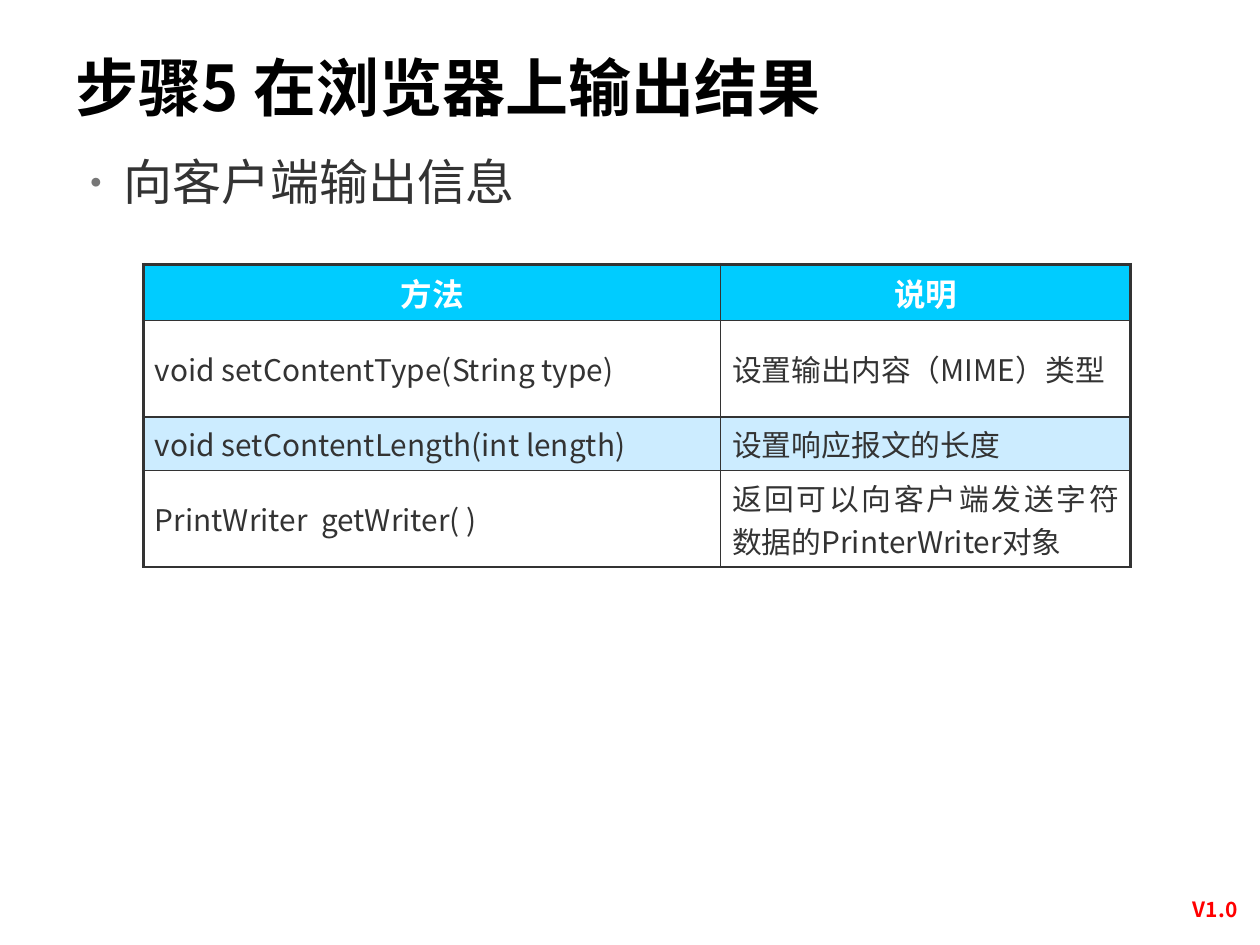
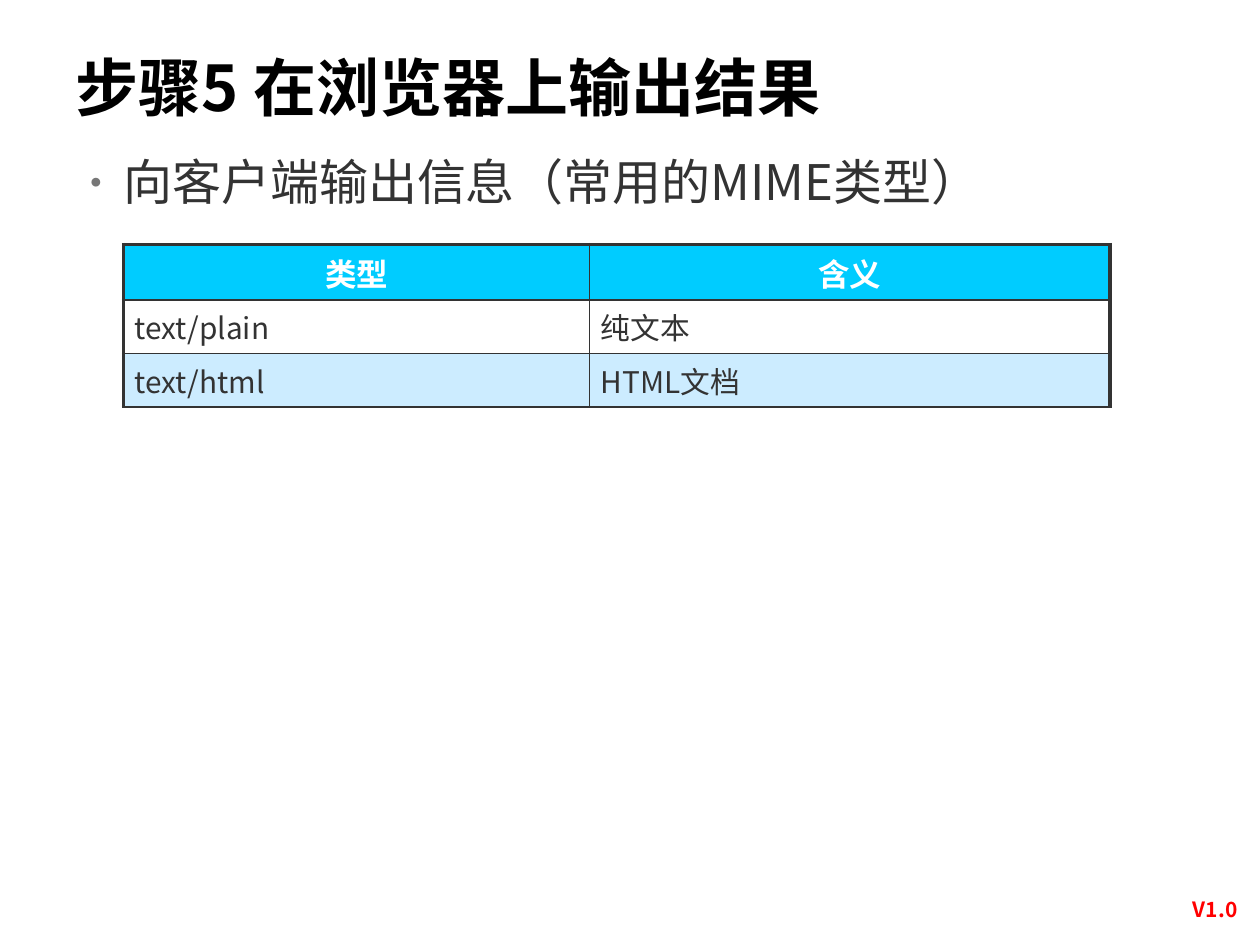
from dataclasses import dataclass

import pptx
import pptx.dml.color
import pptx.enum.text
import pptx.oxml
import pptx.oxml.ns
import pptx.util
from lxml import etree
from pptx.util import Inches

FONT = "Noto Sans CJK SC"
INK, WHITE, HEADER, BAND = "333333", "FFFFFF", "00CCFF", "CCECFF"
ALIGN = pptx.enum.text.PP_ALIGN
ANCHOR = pptx.enum.text.MSO_ANCHOR
AUTO = pptx.enum.text.MSO_AUTO_SIZE
THICK, THIN = 2.25, 1
HEAD_HEIGHT, LINE_HEIGHT, TWO_LINE_HEIGHT = 0.39, 0.37, 0.66


@dataclass(frozen=True)
class TextStyle:
    size: float
    color: str
    bold: bool = False
    align: ALIGN = ALIGN.LEFT


TITLE = TextStyle(36, "000000", True)
BODY = TextStyle(28, INK)
VERSION = TextStyle(12, "FF0000", True, ALIGN.CENTER)
HEAD_CELL = TextStyle(18, WHITE, True, ALIGN.CENTER)
LEFT_CELL = TextStyle(17, INK)
JUSTIFIED_CELL = TextStyle(17, INK, align=ALIGN.JUSTIFY)


@dataclass(frozen=True)
class TableSlide:
    title: str
    point: str
    left: float
    top: float
    widths: tuple[float, ...]
    heights: tuple[float, ...]
    rows: tuple[tuple[str, ...], ...]


STEP = "步骤5 在浏览器上输出结果"
SLIDES = (
    TableSlide(
        STEP, "向客户端输出信息", 1.14, 2.1, (4.58, 3.25),
        (HEAD_HEIGHT, LINE_HEIGHT, LINE_HEIGHT, TWO_LINE_HEIGHT),
        (
            ("方法", "说明"),
            ("void setContentType(String type)", "设置输出内容（MIME）类型"),
            ("void setContentLength(int length)", "设置响应报文的长度"),
            ("PrintWriter  getWriter( )",
             "返回可以向客户端发送字符数据的PrinterWriter对象"),
        ),
    ),
    TableSlide(
        STEP, "向客户端输出信息（常用的MIME类型）", 0.98, 1.94, (3.7, 4.13),
        (HEAD_HEIGHT, LINE_HEIGHT, LINE_HEIGHT),
        (("类型", "含义"), ("text/plain", "纯文本"), ("text/html", "HTML文档")),
    ),
)


def rgb(value: str) -> pptx.dml.color.RGBColor:
    return pptx.dml.color.RGBColor.from_string(value)


def add_xml(parent: etree._Element, tag: str, **attrs: str) -> etree._Element:
    """Append a DrawingML child element."""
    child = etree.SubElement(parent, pptx.oxml.ns.qn(f"a:{tag}"))
    for name, value in attrs.items():
        child.set(name, value)
    return child


def set_attrs(target: object, values: dict[str, object]) -> None:
    for name, value in values.items():
        setattr(target, name, value)


def write(tf: pptx.text.text.TextFrame, text: str, style: TextStyle) -> None:
    p = tf.paragraphs[0]
    set_attrs(p, {"alignment": style.align, "space_before": pptx.util.Pt(0)})
    r = p.add_run()
    r.text = text
    set_attrs(r.font, {"size": pptx.util.Pt(style.size), "bold": style.bold,
                       "name": FONT})
    r.font.color.rgb = rgb(style.color)
    add_xml(r.font._element, "ea", typeface=FONT)


def place(sp: pptx.shapes.base.BaseShape, left: float, top: float,
          width: float, height: float) -> None:
    set_attrs(sp, {"left": Inches(left), "top": Inches(top),
                   "width": Inches(width), "height": Inches(height)})


def add_bullet(p: pptx.text.text._Paragraph) -> None:
    pPr = p._p.get_or_add_pPr()
    pPr.set("marL", str(Inches(0.38)))
    pPr.set("indent", str(-Inches(0.38)))
    add_xml(add_xml(pPr, "buClr"), "srgbClr", val="777777")
    add_xml(pPr, "buSzPct", val="85000")
    add_xml(pPr, "buFont", typeface=FONT)
    add_xml(pPr, "buChar", char="•")


def set_borders(cell: pptx.table._Cell, widths: dict[str, float]) -> None:
    """Draw the cell's edges; the fill must be set afterwards."""
    tcPr = cell._tc.get_or_add_tcPr()
    for tag, width in widths.items():
        ln = add_xml(tcPr, tag, w=str(pptx.util.Pt(width)))
        add_xml(add_xml(ln, "solidFill"), "srgbClr", val=INK)


def add_grid(s: pptx.slide.Slide, spec_: TableSlide) -> None:
    frame = s.shapes.add_table(
        len(spec_.rows), len(spec_.widths), Inches(spec_.left),
        Inches(spec_.top), Inches(sum(spec_.widths)),
        Inches(sum(spec_.heights)))
    table = frame.table
    for column, width in zip(table.columns, spec_.widths):
        column.width = Inches(width)
    for row, height in zip(table.rows, spec_.heights):
        row.height = Inches(height)
    last = len(spec_.widths) - 1
    for i, texts in enumerate(spec_.rows):
        for j, text in enumerate(texts):
            cell = table.cell(i, j)
            set_attrs(cell, {
                "vertical_anchor": ANCHOR.MIDDLE,
                "margin_left": Inches(0.09), "margin_right": Inches(0.09),
                "margin_top": Inches(0.04), "margin_bottom": Inches(0.04)})
            set_borders(cell, {
                "lnL": THICK if j == 0 else THIN,
                "lnR": THICK if j == last else THIN,
                "lnT": THICK if i == 0 else THIN,
                "lnB": THIN})
            cell.fill.solid()
            cell.fill.fore_color.rgb = rgb(
                HEADER if i == 0 else WHITE if i % 2 else BAND)
            if i == 0:
                style = HEAD_CELL
            else:
                style = JUSTIFIED_CELL if j and i > 1 else LEFT_CELL
            write(cell.text_frame, text, style)


def add_version(s: pptx.slide.Slide) -> None:
    sp = s.shapes.add_textbox(Inches(9.25), Inches(7.07), Inches(0.79),
                              Inches(0.3))
    set_attrs(sp.text_frame, {"word_wrap": True,
                              "auto_size": AUTO.SHAPE_TO_FIT_TEXT})
    write(sp.text_frame, "V1.0", VERSION)


def add_slide(prs: pptx.presentation.Presentation, content: TableSlide) -> None:
    s = prs.slides.add_slide(prs.slide_layouts[1])
    title, body = s.shapes.title, s.placeholders[1]
    place(title, 0.5, 0.3, 7.97, 0.77)
    place(body, 0.5, 1.15, 8.91, 5.43)
    for sp, text, style, anchor in (
            (title, content.title, TITLE, ANCHOR.MIDDLE),
            (body, content.point, BODY, ANCHOR.TOP)):
        set_attrs(sp.text_frame, {"auto_size": AUTO.NONE, "word_wrap": True,
                                  "vertical_anchor": anchor})
        write(sp.text_frame, text, style)
    add_bullet(body.text_frame.paragraphs[0])
    add_grid(s, content)
    add_version(s)


def main() -> None:
    prs = pptx.Presentation()
    set_attrs(prs, {"slide_width": Inches(10), "slide_height": Inches(7.5)})
    for content in SLIDES:
        add_slide(prs, content)
    prs.save("out.pptx")


if __name__ == "__main__":
    main()
